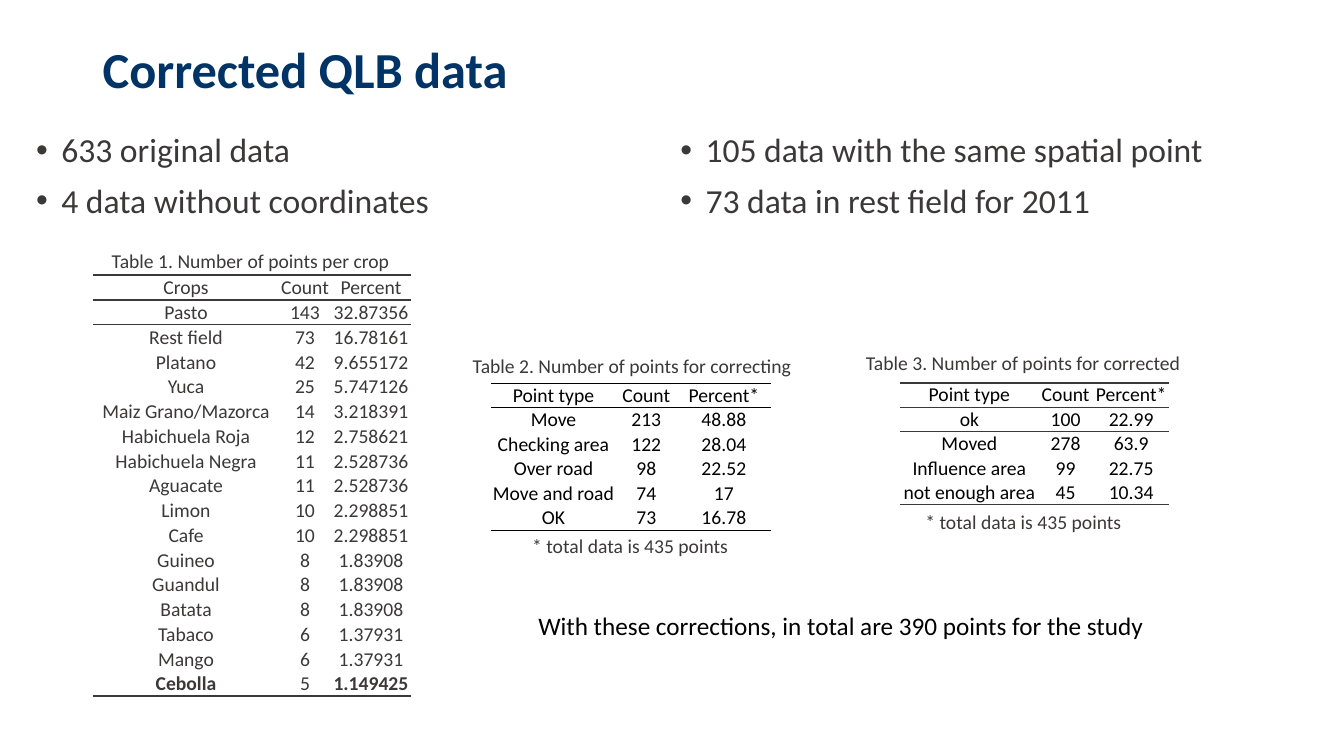
from pptx import Presentation
from pptx.dml.color import RGBColor
from pptx.enum.text import MSO_ANCHOR as Anchor, MSO_AUTO_SIZE as Fit, PP_ALIGN as Align
from pptx.oxml import parse_xml
from pptx.oxml.ns import nsdecls
from pptx.util import Inches, Pt

NAVY = RGBColor(0x00, 0x33, 0x66)
GRAY = RGBColor(0x3B, 0x38, 0x38)
BLACK = RGBColor(0, 0, 0)
WHITE = RGBColor(0xFF, 0xFF, 0xFF)
FONT = "Calibri"
PLAIN = "{2D5ABB26-0587-4C30-8999-92F81FD0307C}"  # table style without grid

# Content
TITLE = "Corrected QLB data"
LISTS = [
    ["633 original data", "4 data without coordinates"],
    ["105 data with the same spatial point", "73 data in rest field for 2011"],
]
CROPS = [
    ("Crops", "Count", "Percent"),
    ("Pasto", "143", "32.87356"),
    ("Rest field", "73", "16.78161"),
    ("Platano", "42", "9.655172"),
    ("Yuca", "25", "5.747126"),
    ("Maiz Grano/Mazorca", "14", "3.218391"),
    ("Habichuela Roja", "12", "2.758621"),
    ("Habichuela Negra", "11", "2.528736"),
    ("Aguacate", "11", "2.528736"),
    ("Limon", "10", "2.298851"),
    ("Cafe", "10", "2.298851"),
    ("Guineo", "8", "1.83908"),
    ("Guandul", "8", "1.83908"),
    ("Batata", "8", "1.83908"),
    ("Tabaco", "6", "1.37931"),
    ("Mango", "6", "1.37931"),
    ("Cebolla", "5", "1.149425"),
]
FIXES = [
    ("Point type", "Count", "Percent*"),
    ("Move", "213", "48.88"),
    ("Checking area", "122", "28.04"),
    ("Over road", "98", "22.52"),
    ("Move and road", "74", "17"),
    ("OK", "73", "16.78"),
]
DONE = [
    ("Point type", "Count", "Percent*"),
    ("ok", "100", "22.99"),
    ("Moved", "278", "63.9"),
    ("Influence area", "99", "22.75"),
    ("not enough area", "45", "10.34"),
]
BOLD = ("Cebolla", "1.149425")
# rows, left, top, height, column widths, text color, fill, rule color, {edge: rule width}
TABLES = [
    (CROPS, 0.92, 2.73, 4.18, (1.85, 0.51, 0.8), GRAY, WHITE, GRAY, {0: 2, 1: 1, 2: 1, 17: 2}),
    (FIXES, 4.87, 3.8, 1.46, (1.24, 0.6, 0.94), BLACK, None, BLACK, {0: 0.5, 1: 0.5, 6: 0.5}),
    (DONE, 8.93, 3.8, 1.21, (1.37, 0.54, 0.76), BLACK, None, GRAY, {0: 1, 1: 1, 2: 1, 5: 1}),
]
TOTAL = "* total data is 435 points"
# text, left, top, width, height, size, color
NOTES = [
    ("Table 1. Number of points per crop", 1.01, 2.42, 2.98, 0.34, 14, GRAY),
    ("Table 2. Number of points for correcting", 4.59, 3.46, 3.39, 0.34, 14, GRAY),
    (TOTAL, 5.18, 5.25, 2.17, 0.34, 14, GRAY),
    ("Table 3. Number of points for corrected", 8.49, 3.43, 3.35, 0.34, 14, GRAY),
    (TOTAL, 9.08, 5.01, 2.17, 0.34, 14, GRAY),
    ("With these corrections, in total are 390 points for the study",
     5.24, 6.01, 6.51, 0.4, 18, BLACK),
]


def style(para, size, color, bold=False):
    for run in para.runs:
        font = run.font
        font.name, font.size, font.bold = FONT, Pt(size), bold
        font.color.rgb = color


def add_text(slide, text, left, top, width, height, size, color, bold=False, wrap=False):
    box = slide.shapes.add_textbox(*map(Inches, (left, top, width, height)))
    frame = box.text_frame
    frame.text = text
    frame.word_wrap = wrap
    frame.auto_size = Fit.NONE if wrap else Fit.SHAPE_TO_FIT_TEXT
    for para in frame.paragraphs:
        style(para, size, color, bold)
    return frame


def add_list(slide, items, left):
    frame = add_text(slide, "\n".join(items), left, 1.28, 6.4, 1.47, 24, GRAY, wrap=True)
    for i, para in enumerate(frame.paragraphs):
        para.line_spacing = 0.9
        para.space_before = Pt(10 if i else 0)
        props = para._p.get_or_add_pPr()
        props.set("marL", str(Inches(0.25)))
        props.set("indent", str(-Inches(0.25)))
        props.append(parse_xml(f'<a:buFont {nsdecls("a")} typeface="Arial"/>'))
        props.append(parse_xml(f'<a:buChar {nsdecls("a")} char="•"/>'))


def add_rule(cell, side, width, color):
    line = parse_xml(
        f'<a:{side} {nsdecls("a")} w="{Pt(width)}"><a:solidFill>'
        f'<a:srgbClr val="{color}"/></a:solidFill></a:{side}>')
    cell._tc.get_or_add_tcPr().insert(0, line)


def add_grid(slide, rows, left, top, height, widths, color, fill, ink, rules):
    size = (left, top, sum(widths), height)
    frame = slide.shapes.add_table(len(rows), len(widths), *map(Inches, size))
    table = frame.table
    table.first_row = table.horz_banding = False
    table._tbl.tblPr.find("{*}tableStyleId").text = PLAIN
    for col, width in zip(table.columns, widths):
        col.width = Inches(width)
    for r, row in enumerate(rows):
        for c, text in enumerate(row):
            cell = table.cell(r, c)
            cell.text = text
            cell.margin_left = cell.margin_right = Inches(0.01)
            cell.margin_top = cell.margin_bottom = 0
            cell.vertical_anchor = Anchor.BOTTOM if r else Anchor.MIDDLE
            if fill is None:
                cell.fill.background()
            else:
                cell.fill.solid()
                cell.fill.fore_color.rgb = fill
            para = cell.text_frame.paragraphs[0]
            para.alignment = Align.CENTER
            style(para, 14, color, text in BOLD)
            # Rules sit below a row; the header has one above too
            if r + 1 in rules:
                add_rule(cell, "lnB", rules[r + 1], ink)
            if r == 0:
                add_rule(cell, "lnT", rules[0], ink)


def main():
    prs = Presentation()
    prs.slide_width, prs.slide_height = Inches(13.33), Inches(7.5)
    slide = prs.slides.add_slide(prs.slide_layouts[6])

    # Heading and two bullet lists
    head = add_text(slide, TITLE, 0.92, 0.4, 11.5, 1.15, 36, NAVY, bold=True, wrap=True)
    head.paragraphs[0].line_spacing = 0.9
    for i, items in enumerate(LISTS):
        add_list(slide, items, 0.26 + 6.39 * i)

    # Tables, captions and closing line
    for grid in TABLES:
        add_grid(slide, *grid)
    for note in NOTES:
        add_text(slide, *note)
    prs.save("out.pptx")


if __name__ == "__main__":
    main()
